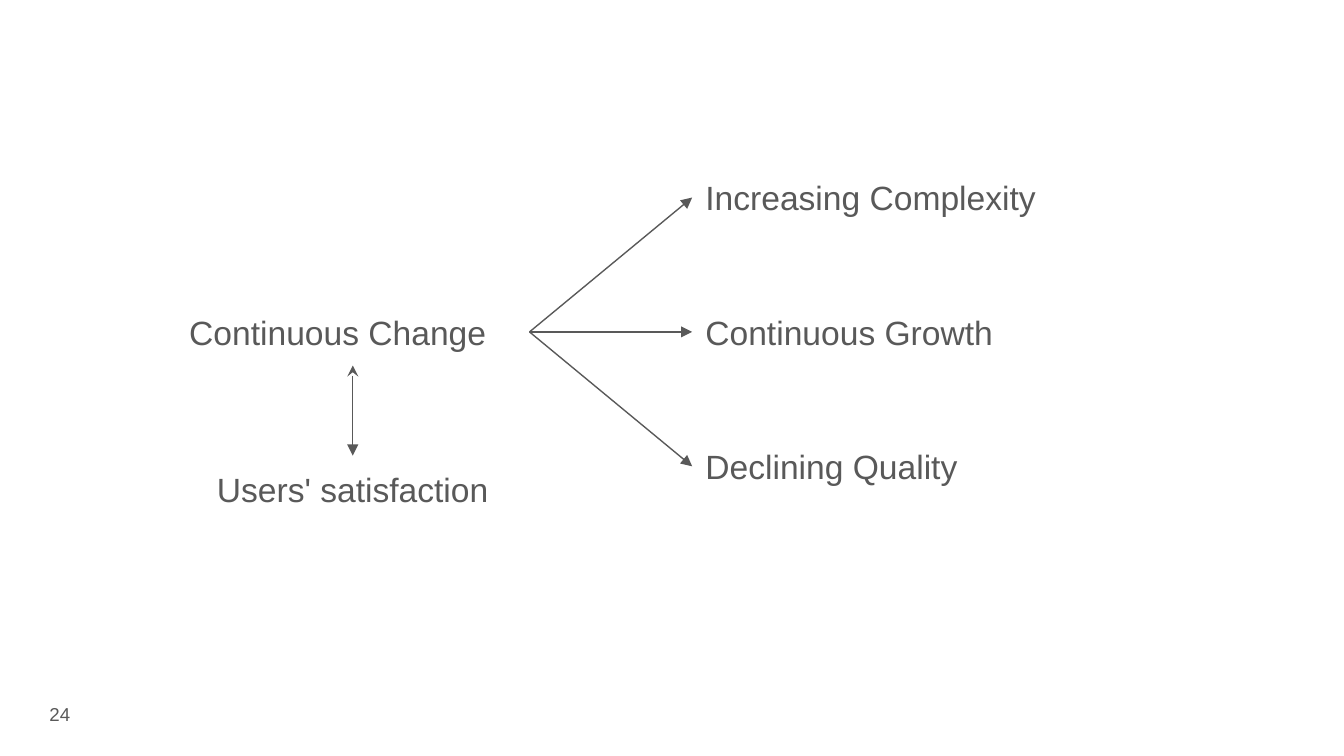
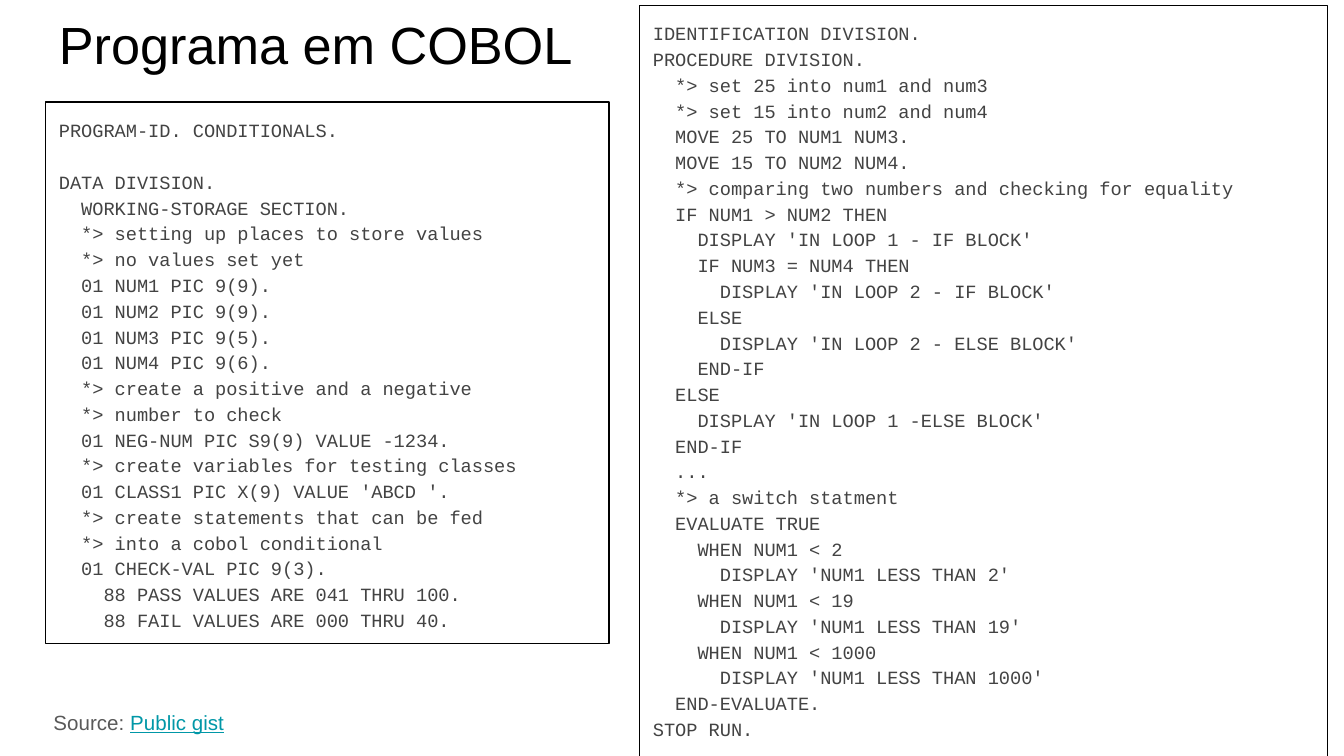
from lxml import etree
from pptx import Presentation
from pptx.dml.color import RGBColor
from pptx.enum.shapes import MSO_CONNECTOR as CONN, MSO_SHAPE as SHAPE
from pptx.enum.text import MSO_ANCHOR as ANCHOR, PP_ALIGN as ALIGN
from pptx.oxml.ns import qn
from pptx.util import Inches, Pt

COLORS = {"white": "FFFFFF", "black": "000000", "gray": "595959",
          "code": "434343", "link": "0097A7"}
SANS, MONO = "Arial", "Courier New"
INSET = 0.1
CODE_LINE = 14  # height of one code line, in points

DATA_CODE = """\
PROGRAM-ID. CONDITIONALS.

DATA DIVISION.
  WORKING-STORAGE SECTION.
  *> setting up places to store values
  *> no values set yet
  01 NUM1 PIC 9(9).
  01 NUM2 PIC 9(9).
  01 NUM3 PIC 9(5).
  01 NUM4 PIC 9(6).
  *> create a positive and a negative
  *> number to check
  01 NEG-NUM PIC S9(9) VALUE -1234.
  *> create variables for testing classes
  01 CLASS1 PIC X(9) VALUE 'ABCD '.
  *> create statements that can be fed
  *> into a cobol conditional
  01 CHECK-VAL PIC 9(3).
    88 PASS VALUES ARE 041 THRU 100.
    88 FAIL VALUES ARE 000 THRU 40."""

PROCEDURE_CODE = """\
IDENTIFICATION DIVISION.
PROCEDURE DIVISION.
  *> set 25 into num1 and num3
  *> set 15 into num2 and num4
  MOVE 25 TO NUM1 NUM3.
  MOVE 15 TO NUM2 NUM4.
  *> comparing two numbers and checking for equality
  IF NUM1 > NUM2 THEN
    DISPLAY 'IN LOOP 1 - IF BLOCK'
    IF NUM3 = NUM4 THEN
      DISPLAY 'IN LOOP 2 - IF BLOCK'
    ELSE
      DISPLAY 'IN LOOP 2 - ELSE BLOCK'
    END-IF
  ELSE
    DISPLAY 'IN LOOP 1 -ELSE BLOCK'
  END-IF
  ...
  *> a switch statment
  EVALUATE TRUE
    WHEN NUM1 < 2
      DISPLAY 'NUM1 LESS THAN 2'
    WHEN NUM1 < 19
      DISPLAY 'NUM1 LESS THAN 19'
    WHEN NUM1 < 1000
      DISPLAY 'NUM1 LESS THAN 1000'
  END-EVALUATE.
STOP RUN."""


def rgb(name):
    return RGBColor.from_string(COLORS[name])


def add_run(p, text, size=18, font=SANS, color="gray", underline=None):
    r = p.add_run()
    r.text = text
    r.font.size, r.font.name = Pt(size), font
    r.font.color.rgb = rgb(color)
    r.font.underline = underline
    return r


def setup_frame(sp, anchor=ANCHOR.TOP):
    tf = sp.text_frame
    tf.word_wrap = True
    tf.vertical_anchor = anchor
    tf.margin_left = tf.margin_right = Inches(INSET)
    tf.margin_top = tf.margin_bottom = Inches(INSET)
    return tf


def add_text(s, box, text, align=ALIGN.LEFT, anchor=ANCHOR.TOP, **fmt):
    sp = s.shapes.add_textbox(*map(Inches, box))
    p = setup_frame(sp, anchor).paragraphs[0]
    p.alignment = align
    add_run(p, text, **fmt)
    return p


def add_arrow(s, start, end, head=None):
    line = s.shapes.add_connector(CONN.STRAIGHT, *map(Inches, (*start, *end)))
    line.line.color.rgb = rgb("gray")
    line.line.width = Pt(0.75)
    ln = line.line._get_or_add_ln()
    for tag, kind in (("a:headEnd", head), ("a:tailEnd", "triangle")):
        if kind:
            etree.SubElement(ln, qn(tag), type=kind)
    etree.SubElement(line._element.spPr, qn("a:effectLst"))


def add_code(s, box, code):
    sp = s.shapes.add_shape(SHAPE.RECTANGLE, *map(Inches, box))
    sp.shadow.inherit = False
    sp.fill.solid()
    sp.fill.fore_color.rgb = rgb("white")
    sp.line.color.rgb = rgb("black")
    sp.line.width = Pt(0.75)
    tf = setup_frame(sp)
    p, gap = tf.paragraphs[0], 0
    for i, text in enumerate(code.splitlines()):
        if not text:  # an empty code line becomes space before the next
            gap += CODE_LINE
            continue
        if i:
            p = tf.add_paragraph()
        p.alignment = ALIGN.LEFT
        p.line_spacing = 1.15
        if gap:
            p.space_before = Pt(gap)
        add_run(p, text, size=10, font=MONO, color="code")
        gap = 0


def add_effects(s, box):
    """Cause on the left, three effects on the right, result below."""
    x, y, w, h = box
    cause_w, label_h, step = 2.63, 0.5, 1.0
    effects_x = x + 3.84
    effects = ("Increasing Complexity", "Continuous Growth", "Declining Quality")
    cause_y, result_y = y + step, y + h - label_h
    fork = (x + cause_w, cause_y + label_h / 2)

    # Cause and its effects
    add_text(s, (x, cause_y, cause_w, label_h), "Continuous Change")
    for i, text in enumerate(effects):
        top = y + i * step
        add_text(s, (effects_x, top, x + w - effects_x, label_h), text)
        add_arrow(s, fork, (effects_x, top + label_h / 2))

    # Result, linked both ways with the cause
    add_text(s, (x, result_y, cause_w, label_h), "Users' satisfaction",
             align=ALIGN.CENTER)
    mid = x + cause_w / 2
    add_arrow(s, (mid, cause_y + label_h), (mid, result_y), head="stealth")


def diagram_slide(prs):
    s = prs.slides.add_slide(prs.slide_layouts[6])
    add_effects(s, (1.31, 1.22, 7.15, 2.67))
    # Page number
    add_text(s, (0.02, 5.1, 0.6, 0.43), "24", size=10,
             align=ALIGN.RIGHT, anchor=ANCHOR.MIDDLE)


def code_slide(prs):
    s = prs.slides.add_slide(prs.slide_layouts[6])
    left, width = 0.34, 4.19
    add_text(s, (left, -0.01, width, 0.63), "Programa em COBOL",
             size=28, color="black")
    # Program listings
    add_code(s, (left, 0.76, width, 4.03), DATA_CODE)
    add_code(s, (4.76, 0.04, 5.12, 5.6), PROCEDURE_CODE)
    # Source line
    p = add_text(s, (0.3, 5.19, 2.43, 0.39), "Source: ", size=11)
    add_run(p, "Public gist", size=11, color="link", underline=True)


def main():
    prs = Presentation()
    prs.slide_width = Inches(10)
    prs.slide_height = Inches(10 * 9 / 16)
    diagram_slide(prs)
    code_slide(prs)
    prs.save("out.pptx")


if __name__ == "__main__":
    main()
